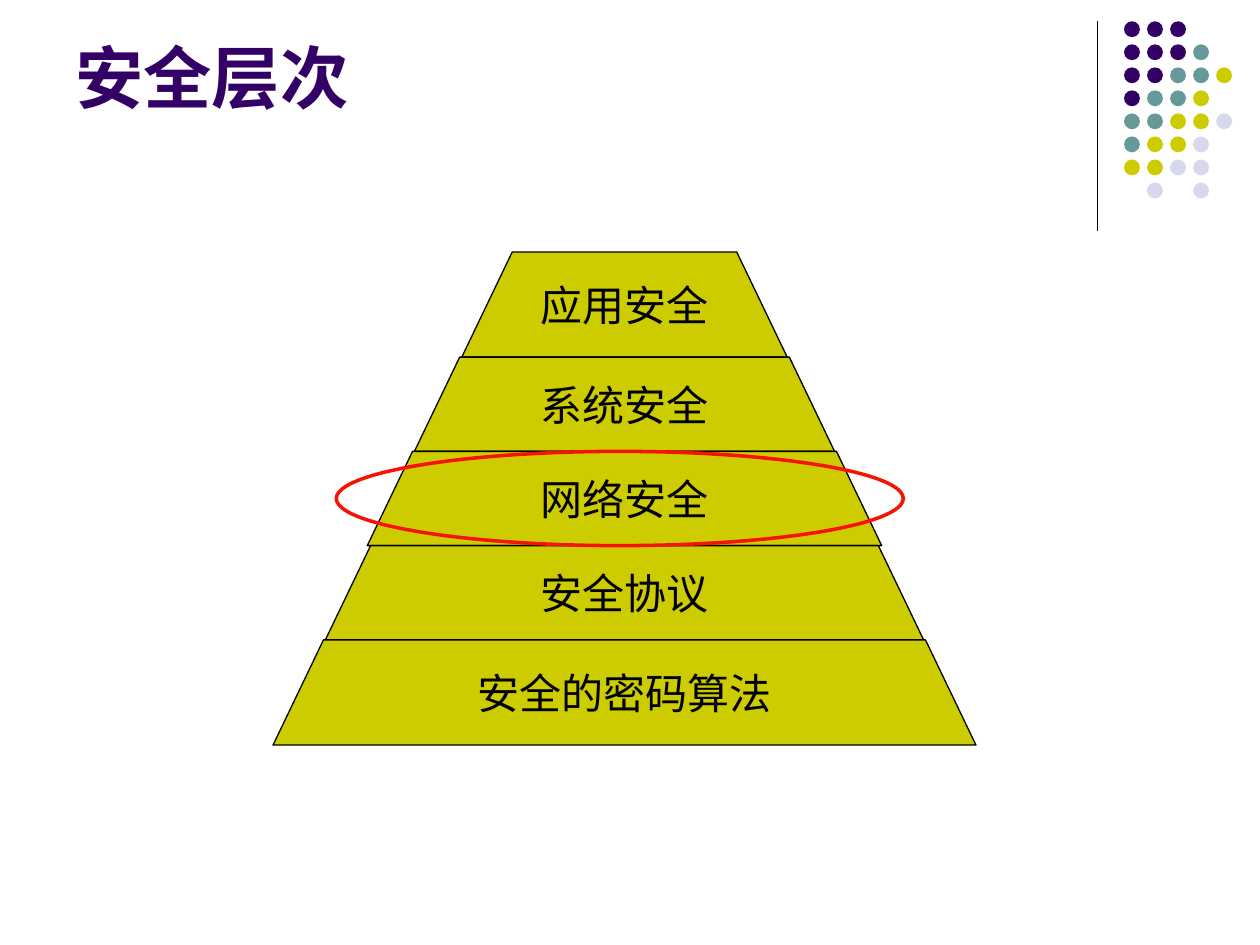
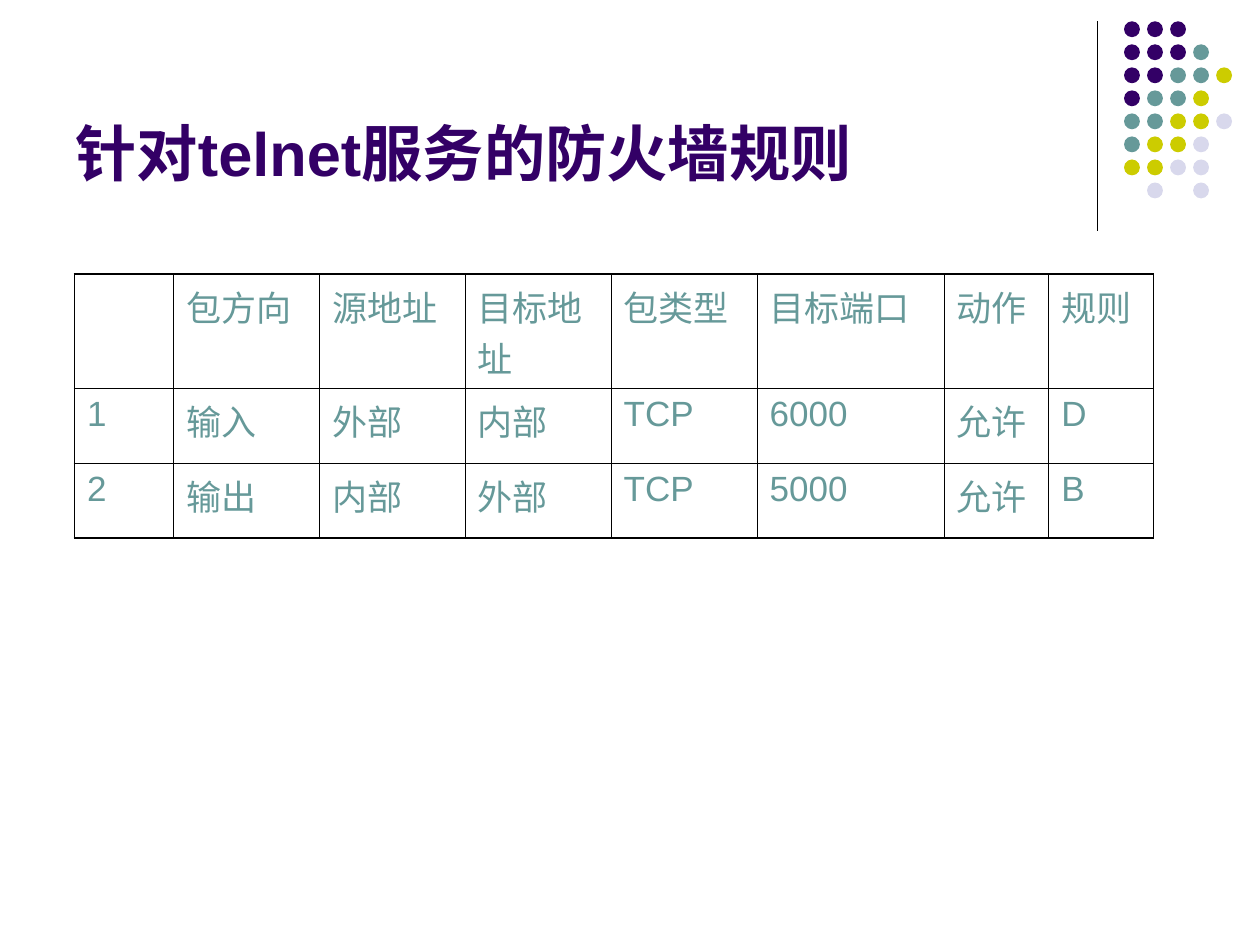
from lxml.etree import SubElement
from pptx import Presentation
from pptx.dml.color import RGBColor
from pptx.enum.shapes import MSO_CONNECTOR, MSO_SHAPE
from pptx.enum.text import MSO_ANCHOR, PP_ALIGN
from pptx.oxml import parse_xml
from pptx.oxml.ns import nsdecls, qn
from pptx.util import Cm, Pt

# Colours
PLUM = RGBColor(0x33, 0x00, 0x66)
TEAL = RGBColor(0x66, 0x99, 0x99)
LIME = RGBColor(0xCC, 0xCC, 0x00)
MIST = RGBColor(0xD8, 0xD8, 0xEC)
RED = RGBColor(0xF6, 0x13, 0x02)
BLACK = RGBColor(0, 0, 0)

# Dot pattern, one letter per dot
DOTS = ["PPP", "PPPT", "PPTTL", "PTTL", "TTLLM", "TLLM", "LLMM", " M M"]
HUES = {"P": PLUM, "T": TEAL, "L": LIME, "M": MIST}

# Pyramid layers from the top: text, base width, height in cm
LAYERS = [
    ("应用安全", 6.56, 2.12),
    ("系统安全", 8.47, 1.9),
    ("网络安全", 10.37, 1.9),
    ("安全协议", 12.06, 1.9),
    ("安全的密码算法", 14.17, 2.12),
]
FOCUS = 2  # layer ringed in red

# Firewall rules
RULES = [
    ["", "包方向", "源地址", "目标地址", "包类型", "目标端口", "动作", "规则"],
    ["1", "输入", "外部", "内部", "TCP", "6000", "允许", "D"],
    ["2", "输出", "内部", "外部", "TCP", "5000", "允许", "B"],
]
COLS = [2, 2.94, 2.94, 2.94, 2.94, 3.77, 2.11, 2.11]
ROWS = [2.3, 1.52, 1.5]  # the header holds two lines


def style(para, size, color, name="Arial", bold=False):
    font = para.font
    font.size, font.name, font.bold = Pt(size), name, bold
    font.color.rgb = color


def add_oval(slide, left, top, width, height):
    oval = slide.shapes.add_shape(
        MSO_SHAPE.OVAL, Cm(left), Cm(top), Cm(width), Cm(height))
    oval.shadow.inherit = False
    return oval


def add_base(deck, title, size, height):
    """Blank slide with the side rule, the dots and a title."""
    slide = deck.slides.add_slide(deck.slide_layouts[6])
    rule = slide.shapes.add_connector(
        MSO_CONNECTOR.STRAIGHT, Cm(22.12), Cm(0.43), Cm(22.12), Cm(4.65))
    rule.line.color.rgb, rule.line.width = BLACK, Pt(0.75)
    SubElement(rule._element.spPr, qn("a:effectLst"))

    step = 3.25 / 7
    for row, marks in enumerate(DOTS):
        for col, mark in enumerate(marks):
            if mark in HUES:
                dot = add_oval(slide, 22.66 + col * step, 0.43 + row * step,
                               0.32, 0.32)
                dot.fill.solid()
                dot.fill.fore_color.rgb = HUES[mark]
                dot.line.fill.background()

    box = slide.shapes.add_textbox(Cm(1.27), Cm(0.33), Cm(20.96), Cm(height))
    frame = box.text_frame
    frame.word_wrap, frame.vertical_anchor = True, MSO_ANCHOR.BOTTOM
    frame.text = title
    style(frame.paragraphs[0], size, PLUM, bold=True)
    return slide


def add_layer(slide, text, top, width, height):
    mid, half = 12.59, width / 2
    inset = 0.48 * height  # same slope on every layer
    base = top + height
    points = [(mid + half - inset, top), (mid + half, base), (mid - half, base)]
    path = slide.shapes.build_freeform(
        Cm(mid - half + inset), Cm(top), scale=1.0)
    path.add_line_segments([(Cm(x), Cm(y)) for x, y in points])
    layer = path.convert_to_shape()
    layer.shadow.inherit = False
    layer.fill.solid()
    layer.fill.fore_color.rgb = LIME
    layer.line.color.rgb, layer.line.width = BLACK, Pt(0.75)
    frame = layer.text_frame
    frame.word_wrap, frame.vertical_anchor = False, MSO_ANCHOR.MIDDLE
    frame.text = text
    para = frame.paragraphs[0]
    para.alignment = PP_ALIGN.CENTER
    style(para, 24, BLACK, "Times New Roman")


def add_layers(slide):
    top = 5.08
    for num, (text, width, height) in enumerate(LAYERS):
        add_layer(slide, text, top, width, height)
        if num == FOCUS:
            focus = top, height
        top += height
    ring = add_oval(slide, 6.78, focus[0], 11.43, focus[1])
    ring.fill.background()
    ring.line.color.rgb, ring.line.width = RED, Pt(2)


def set_edges(cell, outer):
    """Draw the four borders, thicker on the rim of the table."""
    props = cell._tc.get_or_add_tcPr()
    for spot, side in enumerate("LRTB"):
        width = Pt(1.08 if side in outer else 0.45)
        props.insert(spot, parse_xml(
            f'<a:ln{side} {nsdecls("a")} w="{width}"><a:solidFill>'
            f'<a:srgbClr val="{BLACK}"/></a:solidFill></a:ln{side}>'))


def add_rules(slide):
    table = slide.shapes.add_table(
        len(ROWS), len(COLS), Cm(1.5), Cm(5.53),
        Cm(sum(COLS)), Cm(sum(ROWS))).table
    table.first_row = table.horz_banding = False
    for col, width in zip(table.columns, COLS):
        col.width = Cm(width)
    for row, height in zip(table.rows, ROWS):
        row.height = Cm(height)
    for r, texts in enumerate(RULES):
        for c, text in enumerate(texts):
            cell = table.cell(r, c)
            cell.text = text
            cell.fill.background()
            style(cell.text_frame.paragraphs[0], 20, TEAL)
            rim = {"L": c == 0, "R": c == len(COLS) - 1,
                   "T": r == 0, "B": r == len(ROWS) - 1}
            set_edges(cell, [side for side, on in rim.items() if on])


def main():
    deck = Presentation()
    deck.slide_width, deck.slide_height = Cm(25.4), Cm(19.05)
    add_layers(add_base(deck, "安全层次", 39, 2.15))
    add_rules(add_base(deck, "针对telnet服务的防火墙规则", 35, 3.61))
    deck.save("out.pptx")


if __name__ == "__main__":
    main()
